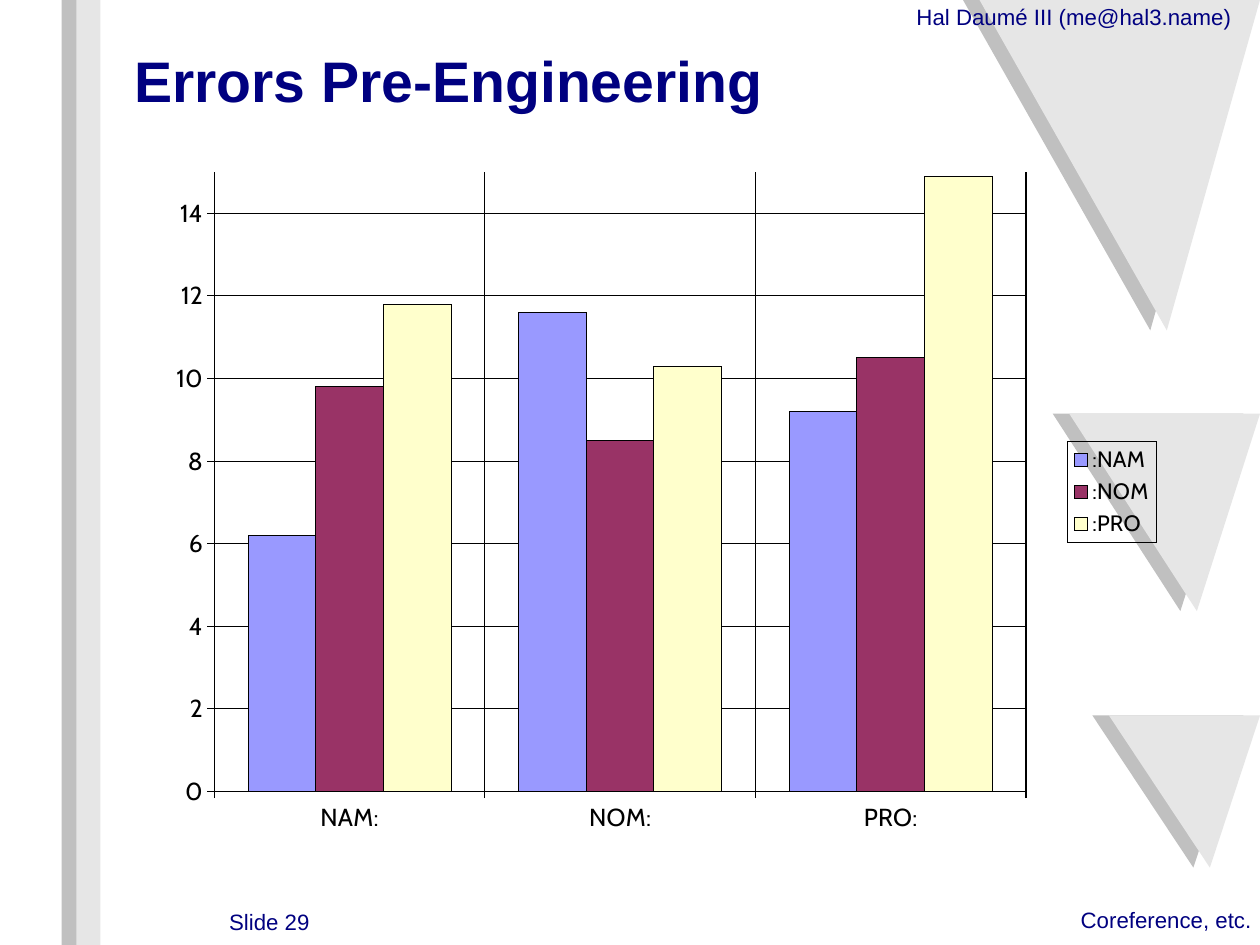
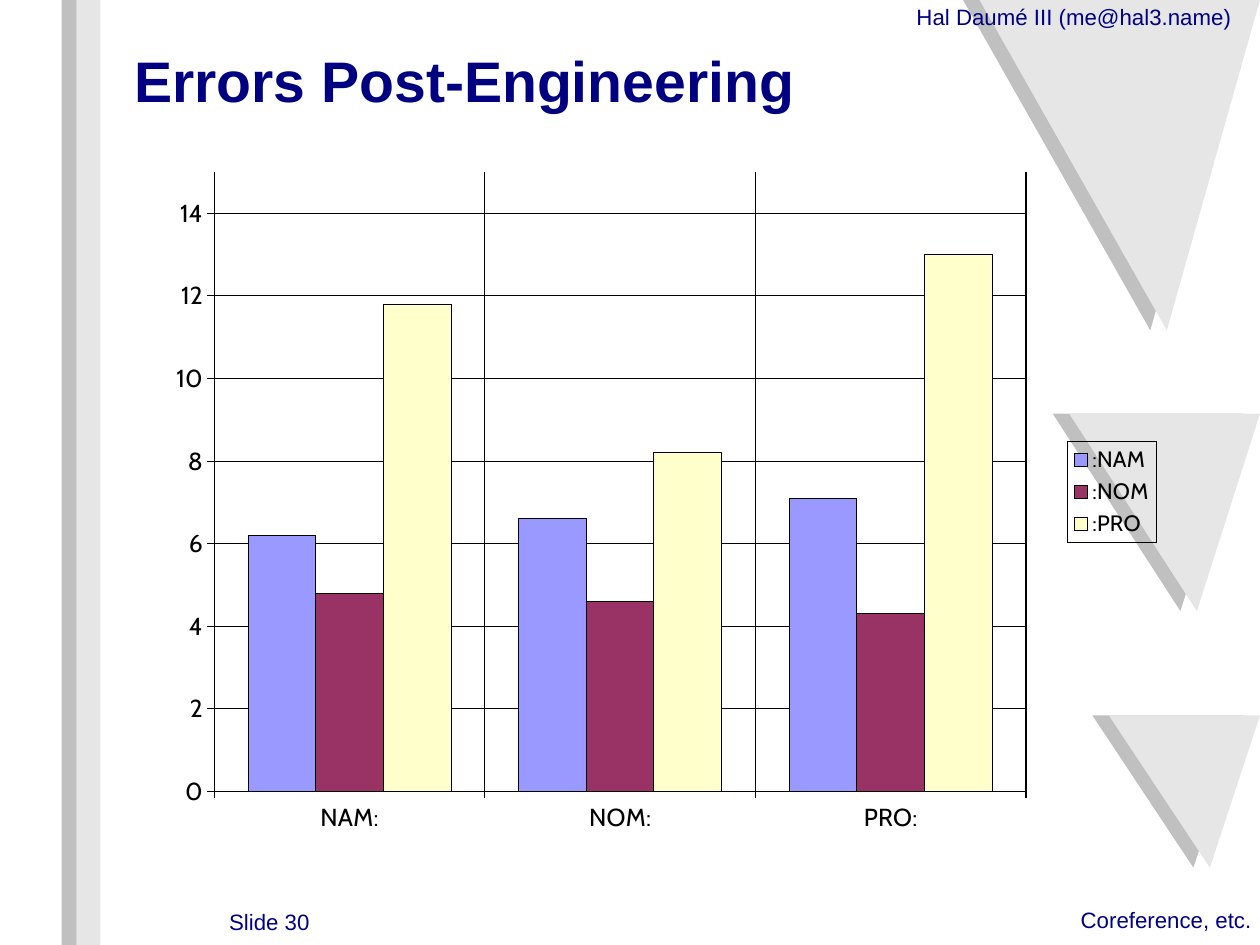
import dataclasses

import pptx
import pptx.chart.axis
import pptx.chart.chart
import pptx.chart.data
import pptx.dml.color
import pptx.dml.fill
import pptx.dml.line
import pptx.enum.chart
import pptx.enum.shapes
import pptx.enum.text
import pptx.oxml
import pptx.oxml.ns
import pptx.oxml.xmlchemy
import pptx.shapes.autoshape
import pptx.shapes.shapetree
import pptx.slide
import pptx.text.text
import pptx.util

Pt = pptx.util.Pt

SLIDE_WIDTH, SLIDE_HEIGHT = 793.75, 595.25
CHART_WIDTH, CHART_HEIGHT = 653.6, 441.2
NAVY, BLACK = "000080", "000000"
SHADE, LIGHT = "C0C0C0", "E6E6E6"
TEXT_FONT, CHART_FONT = "Arial", "Cabin"
SHADE_OFFSET = 10.4
STRIPE_WIDTH = 15.1
CATEGORIES = ("NAM:", "NOM:", "PRO:")
SERIES_COLOURS = {":NAM": "9999FF", ":NOM": "993366", ":PRO": "FFFFCC"}


@dataclasses.dataclass(frozen=True)
class Triangle:
    left: float
    top: float
    tip_x: float
    tip_y: float


@dataclasses.dataclass(frozen=True)
class Stripe:
    left: float
    colour: str


@dataclasses.dataclass(frozen=True)
class Label:
    text: str
    left: float
    top: float
    width: float
    align: pptx.enum.text.PP_ALIGN = pptx.enum.text.PP_ALIGN.LEFT


@dataclasses.dataclass(frozen=True)
class ErrorSlide:
    number: int
    title: str
    errors: tuple[tuple[float, ...], ...]


TRIANGLES = (
    Triangle(617.1, 0, 735.1, 208.1),
    Triangle(673.6, 260.6, 754, 384.9),
    Triangle(698.6, 450.7, 762.2, 546.5),
)
STRIPES = (Stripe(38.9, SHADE), Stripe(48.2, LIGHT))
SHARED_LABELS = (
    Label("Coreference, etc.", 680.8, 570.7, 112.5),
    Label("Hal Daumé III (me@hal3.name)", 577.4, 2.2, 206.6),
)
ERROR_SLIDES = (
    ErrorSlide(29, "Errors Pre-Engineering",
               ((6.2, 11.6, 9.2), (9.8, 8.5, 10.5), (11.8, 10.3, 14.9))),
    ErrorSlide(30, "Errors Post-Engineering",
               ((6.2, 6.6, 7.1), (4.8, 4.6, 4.3), (11.8, 8.2, 13))),
)


def rgb(colour: str) -> pptx.dml.color.RGBColor:
    return pptx.dml.color.RGBColor.from_string(colour)


def paint(fill: pptx.dml.fill.FillFormat, colour: str) -> None:
    fill.solid()
    fill.fore_color.rgb = rgb(colour)


def hairline(line: pptx.dml.line.LineFormat) -> None:
    paint(line.fill, BLACK)
    line.width = Pt(0)


def flat(shape: pptx.shapes.autoshape.Shape, colour: str) -> None:
    shape.shadow.inherit = False
    paint(shape.fill, colour)
    shape.line.fill.background()


def style_font(font: pptx.text.text.Font, size: float, colour: str, name: str,
               bold: bool = False) -> None:
    font.size = Pt(size)
    font.name = name
    font.bold = bold
    font.color.rgb = rgb(colour)


def clear_margins(frame: pptx.text.text.TextFrame) -> None:
    frame.margin_left = frame.margin_right = frame.margin_top = frame.margin_bottom = 0
    frame.word_wrap = True


def add_triangle(shapes: pptx.shapes.shapetree.SlideShapes, triangle: Triangle,
                 shift: float, colour: str) -> None:
    outline = shapes.build_freeform(Pt(triangle.left - shift), Pt(triangle.top))
    outline.add_line_segments((
        (Pt(triangle.tip_x - shift), Pt(triangle.tip_y)),
        (Pt(SLIDE_WIDTH - shift), Pt(triangle.top)),
    ))
    flat(outline.convert_to_shape(), colour)


def add_stripe(shapes: pptx.shapes.shapetree.SlideShapes, stripe: Stripe) -> None:
    flat(shapes.add_shape(pptx.enum.shapes.MSO_SHAPE.RECTANGLE, Pt(stripe.left), 0,
                          Pt(STRIPE_WIDTH), Pt(SLIDE_HEIGHT)), stripe.colour)


def add_label(shapes: pptx.shapes.shapetree.SlideShapes, label: Label) -> None:
    frame = shapes.add_textbox(Pt(label.left), Pt(label.top), Pt(label.width), Pt(18)).text_frame
    clear_margins(frame)
    paragraph = frame.paragraphs[0]
    paragraph.text = label.text
    paragraph.alignment = label.align
    style_font(paragraph.font, 14, NAVY, TEXT_FONT)


def prepare_layout(layout: pptx.slide.SlideLayout) -> None:
    for placeholder in list(layout.placeholders):
        if placeholder.placeholder_format.idx != 0:
            layout.shapes.element.remove(placeholder.element)
    title = layout.placeholders[0]
    title.left, title.top, title.width, title.height = Pt(84.5), Pt(20.9), Pt(640), Pt(58.3)
    clear_margins(title.text_frame)
    title.text_frame.vertical_anchor = pptx.enum.text.MSO_ANCHOR.MIDDLE


def draw_background(slide: pptx.slide.Slide) -> None:
    shapes = slide.shapes
    for shift, colour in ((SHADE_OFFSET, SHADE), (0, LIGHT)):
        for triangle in TRIANGLES:
            add_triangle(shapes, triangle, shift, colour)
    for stripe in STRIPES:
        add_stripe(shapes, stripe)
    for label in SHARED_LABELS:
        add_label(shapes, label)
    for shape in list(shapes):
        if not shape.is_placeholder:
            slide.slide_layout.shapes.element.append(shape.element)


def chart_xml(tag: str, content: str) -> pptx.oxml.xmlchemy.BaseOxmlElement:
    names = pptx.oxml.ns.nsdecls("c", "a")
    return pptx.oxml.parse_xml(f"<c:{tag} {names}>{content}</c:{tag}>")


def manual_layout(**settings: str | float) -> pptx.oxml.xmlchemy.BaseOxmlElement:
    entries = "".join(f'<c:{key} val="{value}"/>' for key, value in settings.items())
    return chart_xml("layout", f"<c:manualLayout>{entries}</c:manualLayout>")


def place_chart_parts(chart: pptx.chart.chart.Chart) -> None:
    qn = pptx.oxml.ns.qn
    chart_body = chart.element.find(qn("c:chart"))
    plot_area = chart_body.find(qn("c:plotArea"))
    legend = chart_body.find(qn("c:legend"))
    clear = "<a:noFill/><a:ln><a:noFill/></a:ln>"
    border = f'<a:noFill/><a:ln w="0"><a:solidFill><a:srgbClr val="{BLACK}"/></a:solidFill></a:ln>'

    for part in (plot_area, legend):
        for old in part.findall(qn("c:layout")):
            part.remove(old)
    chart_body.addnext(chart_xml("spPr", clear))
    plot_area.insert(0, manual_layout(
        layoutTarget="outer", xMode="edge", yMode="edge",
        x=13.1 / CHART_WIDTH, y=16.3 / CHART_HEIGHT,
        w=535.4 / CHART_WIDTH, h=416 / CHART_HEIGHT))
    plot_area.append(chart_xml("spPr", clear))
    legend.find(qn("c:legendPos")).addnext(manual_layout(
        xMode="edge", yMode="edge", x=574.3 / CHART_WIDTH, y=186.3 / CHART_HEIGHT))
    legend.find(qn("c:txPr")).addprevious(chart_xml("spPr", border))


def style_axis(axis: pptx.chart.axis.CategoryAxis | pptx.chart.axis.ValueAxis) -> None:
    axis.has_major_gridlines = True
    axis.major_tick_mark = pptx.enum.chart.XL_TICK_MARK.OUTSIDE
    axis.minor_tick_mark = pptx.enum.chart.XL_TICK_MARK.NONE
    hairline(axis.format.line)
    hairline(axis.major_gridlines.format.line)
    style_font(axis.tick_labels.font, 15.5, BLACK, CHART_FONT)


def add_error_chart(slide: pptx.slide.Slide, errors: tuple[tuple[float, ...], ...]) -> None:
    error_data = pptx.chart.data.CategoryChartData()
    error_data.categories = CATEGORIES
    for name, values in zip(SERIES_COLOURS, errors):
        error_data.add_series(name, values)
    chart = slide.shapes.add_chart(
        pptx.enum.chart.XL_CHART_TYPE.COLUMN_CLUSTERED,
        Pt(97.9), Pt(92.1), Pt(CHART_WIDTH), Pt(CHART_HEIGHT), error_data).chart
    chart.has_title = False
    style_font(chart.font, 10, BLACK, TEXT_FONT)

    columns = chart.plots[0]
    columns.gap_width = 100
    columns.overlap = 0
    columns.vary_by_categories = False
    for series, colour in zip(columns.series, SERIES_COLOURS.values()):
        paint(series.format.fill, colour)
        hairline(series.format.line)

    style_axis(chart.category_axis)
    style_axis(chart.value_axis)
    chart.category_axis.tick_label_position = pptx.enum.chart.XL_TICK_LABEL_POSITION.LOW
    chart.value_axis.minimum_scale = 0
    chart.value_axis.maximum_scale = 15
    chart.value_axis.major_unit = 2

    chart.has_legend = True
    chart.legend.position = pptx.enum.chart.XL_LEGEND_POSITION.RIGHT
    chart.legend.include_in_layout = False
    style_font(chart.legend.font, 14, BLACK, CHART_FONT)
    place_chart_parts(chart)


def fill_slide(slide: pptx.slide.Slide, content: ErrorSlide) -> None:
    heading = slide.shapes.title.text_frame.paragraphs[0]
    heading.text = content.title
    heading.alignment = pptx.enum.text.PP_ALIGN.LEFT
    style_font(heading.font, 36, NAVY, TEXT_FONT, bold=True)
    add_label(slide.shapes, Label(f"Slide {content.number}", 67.7, 572.1, 127.4,
                                  pptx.enum.text.PP_ALIGN.RIGHT))
    add_error_chart(slide, content.errors)


def main() -> None:
    deck = pptx.Presentation()
    deck.slide_width, deck.slide_height = Pt(SLIDE_WIDTH), Pt(SLIDE_HEIGHT)
    layout = deck.slide_layouts[5]
    prepare_layout(layout)
    slides = [deck.slides.add_slide(layout) for _ in ERROR_SLIDES]
    draw_background(slides[0])
    for slide, content in zip(slides, ERROR_SLIDES):
        fill_slide(slide, content)
    deck.save("out.pptx")


if __name__ == "__main__":
    main()
